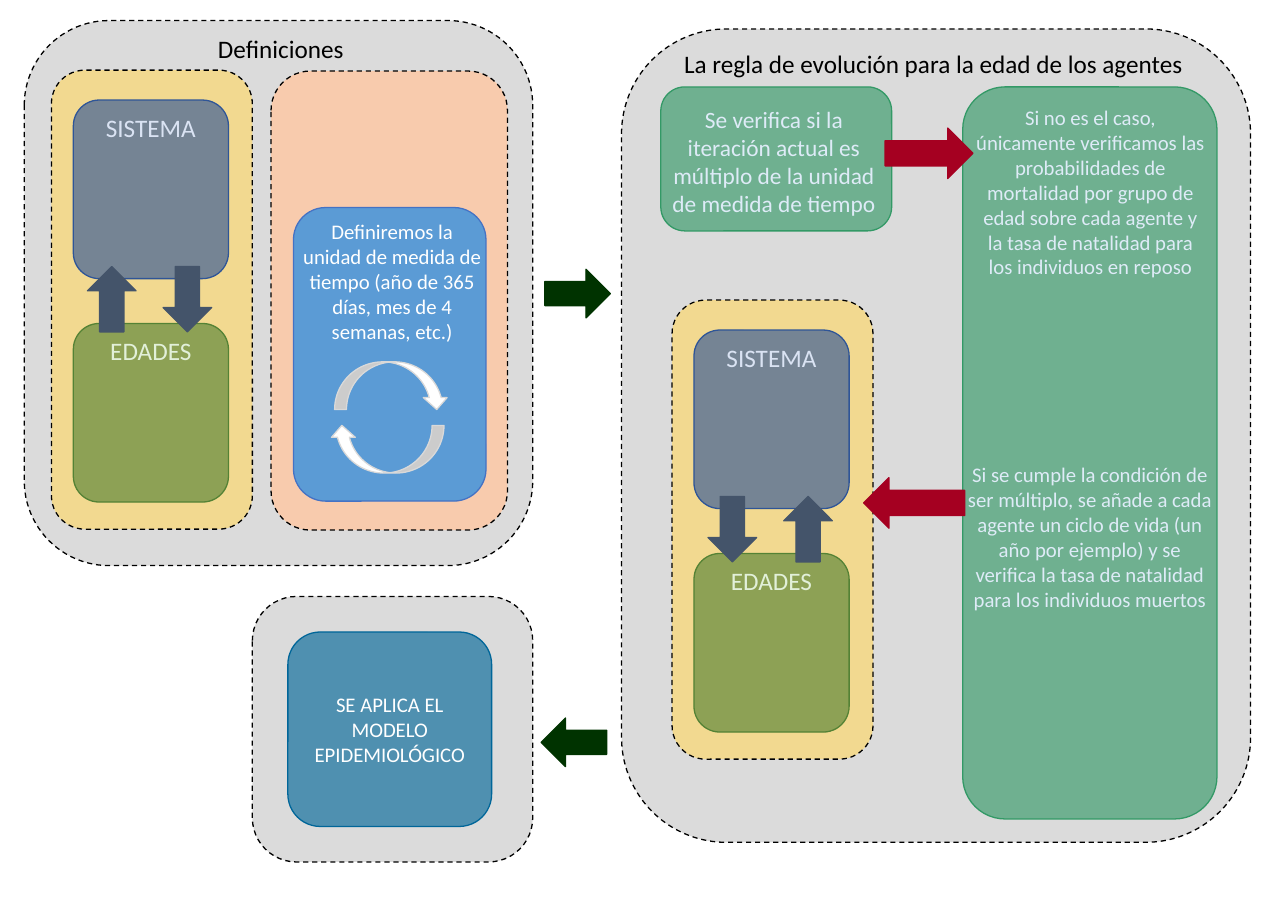
from lxml import etree
from pptx import Presentation
from pptx.dml.color import RGBColor
from pptx.enum.dml import MSO_LINE
from pptx.enum.shapes import MSO_SHAPE
from pptx.enum.text import MSO_ANCHOR, PP_ALIGN
from pptx.oxml.ns import qn
from pptx.util import Inches, Pt

ROUND = MSO_SHAPE.ROUNDED_RECTANGLE
ARROW = MSO_SHAPE.DOWN_ARROW
CURVED = MSO_SHAPE.CURVED_DOWN_ARROW
DASH = MSO_LINE.DASH
TOP, MIDDLE = MSO_ANCHOR.TOP, MSO_ANCHOR.MIDDLE
CENTER = PP_ALIGN.CENTER
DOWN, LEFT, UP, RIGHT = 0, 90, 180, 270

COL = ROW = Inches(0.1)
FONT = "Calibri"
HEADING, BODY, SMALL = 19.4, 18, 16
BLACK, WHITE, GRAY, YELLOW, PEACH = "000000", "FFFFFF", "DBDBDB", "FFD966", "F8CBAD"
NAVY, OLIVE, GREEN, TEAL = "2F5597", "548235", "339966", "006699"
SLATE, DARK_GREEN, RED = "44546A", "003300", "A50021"
PALE_BLUE = "DEEBF7"
ALPHA = 64


def rgb(color):
    return RGBColor.from_string(color)


def write(tf, text, size=SMALL, color=WHITE, anchor=TOP):
    tf.word_wrap = True
    tf.vertical_anchor = anchor
    p = tf.paragraphs[0]
    p.alignment = CENTER
    r = p.add_run()
    r.text = text
    r.font.name = FONT
    r.font.size = Pt(size)
    r.font.color.rgb = rgb(color)


class Diagram:
    def __init__(self, s):
        self.s = s

    def place(self, x, y, w, h):
        return round(x * COL), round(y * ROW), round(w * COL), round(h * ROW)

    def shape(self, kind, box, fill, line, alpha=None, rotation=0):
        sp = self.s.shapes.add_shape(kind, *self.place(*box))
        sp.shadow.inherit = False
        sp.rotation = rotation
        sp.fill.solid()
        sp.fill.fore_color.rgb = rgb(fill)
        if alpha:
            clr = sp.element.spPr.find(qn("a:solidFill"))[0]
            etree.SubElement(clr, qn("a:alpha")).set("val", str(alpha * 1000))
        sp.line.color.rgb = rgb(line)
        sp.line.width = Pt(1)
        return sp

    def panel(self, box, fill, alpha=None):
        self.shape(ROUND, box, fill, BLACK, alpha).line.dash_style = DASH

    def card(self, box, fill, text=None, **style):
        sp = self.shape(ROUND, box, fill, fill, ALPHA)
        if text:
            write(sp.text_frame, text, **style)

    def arrow(self, box, fill, direction):
        self.shape(ARROW, box, fill, fill, rotation=direction)

    def label(self, box, text, **style):
        sp = self.s.shapes.add_textbox(*self.place(*box))
        write(sp.text_frame, text, **style)

    def model(self, x, y, directions):
        self.panel((x, y, 21.5, 49.1), YELLOW, ALPHA)
        levels = (("SISTEMA", NAVY, "DAE3F3"), ("EDADES", OLIVE, "E2F0D9"))
        for i, (name, fill, color) in enumerate(levels):
            self.card((x + 2.35, y + 3.2 + 23.9 * i, 16.6, 19.1), fill, name,
                      size=HEADING, color=color)
        for i, direction in enumerate(directions):
            self.arrow((x + 3.85 + 8.1 * i, y + 21, 5.2, 7), SLATE, direction)


def build(d):
    d.panel((66.5, 3.1, 67.3, 87), GRAY)
    d.panel((2.6, 2.2, 54.4, 58.3), GRAY)
    d.model(5.5, 7.5, (UP, DOWN))
    d.label((10.4, 3.1, 39.3, 4.3), "Definiciones", size=HEADING, color=BLACK)

    d.panel((29, 7.6, 25.3, 49.1), PEACH)
    d.shape(ROUND, (31.4, 22.2, 20.6, 31.4), "5B9BD5", "4472C4")
    for x, y, turn in ((35.8, 38.7, DOWN), (35.3, 45.5, UP)):
        d.shape(CURVED, (x, y, 12.2, 5.1), WHITE, "D9D9D9", rotation=turn)
    d.label((31.2, 22.9, 21.5, 14.5),
            "Definiremos la unidad de medida de tiempo "
            "(año de 365 días, mes de 4 semanas, etc.)")

    d.label((72.1, 4.7, 55.6, 4.3),
            "La regla de evolución para la edad de los agentes",
            size=HEADING, color=BLACK)
    d.card((70.7, 9.3, 24.7, 15.4), GREEN)
    d.label((70.5, 10.7, 24.6, 13.1),
            "Se verifica si la iteración actual es múltiplo "
            "de la unidad de medida de tiempo", size=BODY, color=PALE_BLUE)
    d.card((103, 9.3, 27.2, 78.3), GREEN)
    d.label((103.2, 10.7, 26.9, 19.9),
            "Si no es el caso, únicamente verificamos las probabilidades de "
            "mortalidad por grupo de edad sobre cada agente y la tasa de "
            "natalidad para los individuos en reposo", color=PALE_BLUE)
    d.label((102.4, 48.9, 28.4, 17.2),
            "Si se cumple la condición de ser múltiplo, se añade a cada agente "
            "un ciclo de vida (un año por ejemplo) y se verifica la tasa de "
            "natalidad para los individuos muertos", color=PALE_BLUE)
    d.model(71.9, 32.1, (DOWN, UP))

    d.panel((27, 63.8, 30, 28.4), GRAY)
    d.card((30.8, 67.6, 21.8, 20.8), TEAL,
           "SE APLICA EL MODELO EPIDEMIOLÓGICO", anchor=MIDDLE)

    d.arrow((59.2, 27.9, 5.2, 7), DARK_GREEN, RIGHT)
    d.arrow((58.8, 75.9, 5.2, 7), DARK_GREEN, LEFT)
    d.arrow((96.7, 11.7, 5.4, 9.4), RED, RIGHT)
    d.arrow((95.1, 48.4, 5.4, 10.8), RED, LEFT)


def main():
    prs = Presentation()
    prs.slide_width, prs.slide_height = Inches(13.78), Inches(9.84)
    build(Diagram(prs.slides.add_slide(prs.slide_layouts[6])))
    prs.save("out.pptx")


if __name__ == "__main__":
    main()
